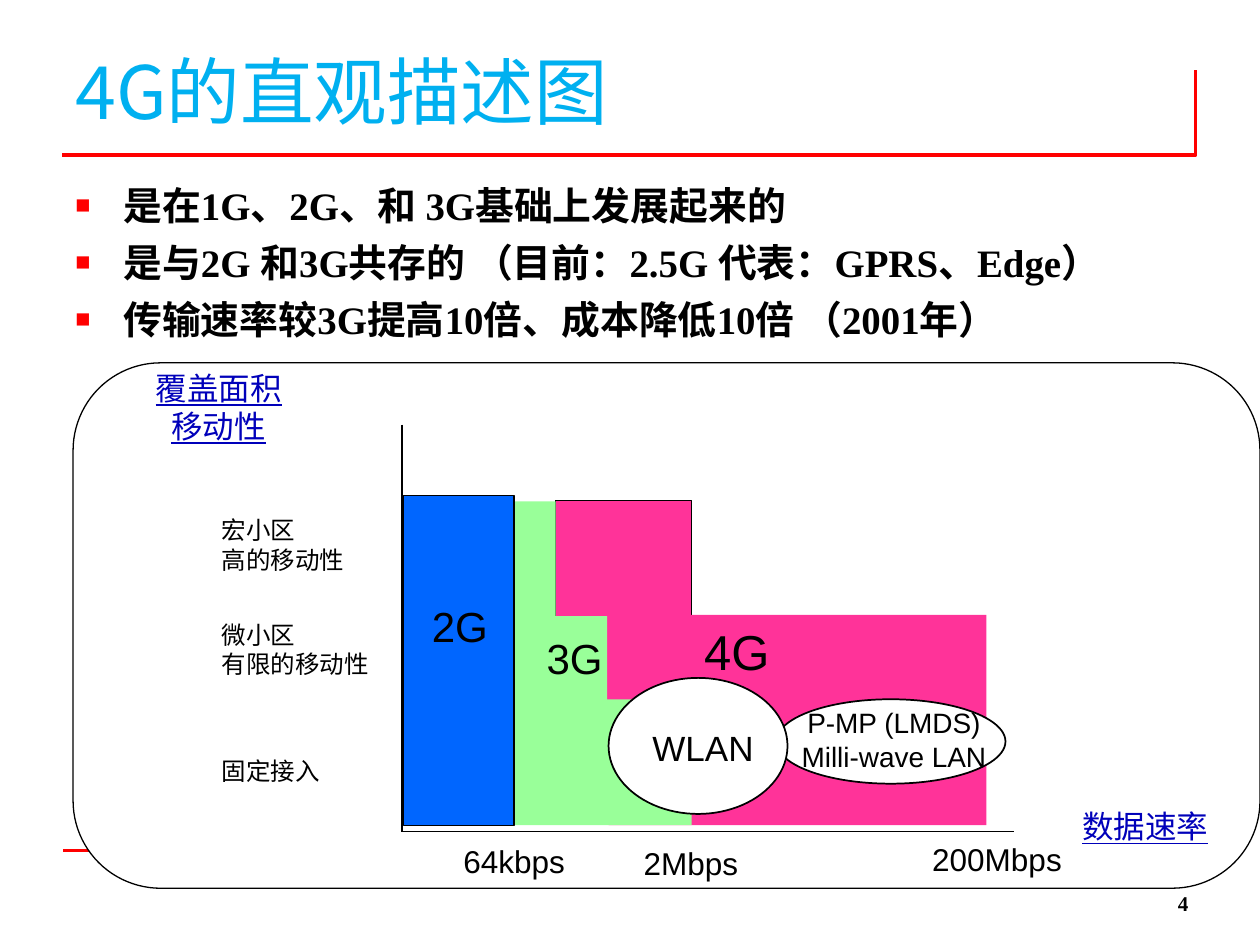
from dataclasses import dataclass

from lxml import etree
from pptx import Presentation
from pptx.dml.color import RGBColor
from pptx.enum.shapes import MSO_CONNECTOR, MSO_SHAPE
from pptx.enum.text import MSO_ANCHOR, MSO_AUTO_SIZE, PP_ALIGN
from pptx.oxml.ns import qn
from pptx.slide import Slide
from pptx.text.text import TextFrame
from pptx.util import Inches, Pt

RECT, OVAL, ROUNDED = MSO_SHAPE.RECTANGLE, MSO_SHAPE.OVAL, MSO_SHAPE.ROUNDED_RECTANGLE
STRAIGHT = MSO_CONNECTOR.STRAIGHT
LEFT, CENTER, RIGHT = PP_ALIGN.LEFT, PP_ALIGN.CENTER, PP_ALIGN.RIGHT
TOP, MIDDLE, BOTTOM = MSO_ANCHOR.TOP, MSO_ANCHOR.MIDDLE, MSO_ANCHOR.BOTTOM
GROW, FIXED = MSO_AUTO_SIZE.SHAPE_TO_FIT_TEXT, MSO_AUTO_SIZE.NONE

COLORS = {
    "rule": "FF0000", "title": "00B0F0", "text": "000000", "axis_name": "0000BA",
    "panel": "FFFFFF", "2G": "0066FF", "3G": "99FF99", "4G": "FF3399",
}
Box = tuple[float, float, float, float]


@dataclass(frozen=True)
class Region:
    box: Box
    color: str
    outline: float = 0
    kind: MSO_SHAPE = RECT


@dataclass(frozen=True)
class Label:
    lines: tuple[str, ...]
    box: Box
    size: float
    color: str = "text"
    align: PP_ALIGN = LEFT
    font: str = "Arial"
    bold: bool = False
    underline: bool = False
    wrap: bool = False
    anchor: MSO_ANCHOR = TOP


@dataclass(frozen=True)
class Rule:
    start: tuple[float, float]
    end: tuple[float, float]
    color: str
    width: float


FOOTER_RULE = Rule((0.5, 6.75), (9.5, 6.75), "rule", 2)
HEADING = Label(("4G的直观描述图",), (0.5, 0.25, 9, 0.93), 42, "title",
                font="Noto Sans CJK SC", wrap=True, anchor=MIDDLE)
POINTS = Label(
    ("是在1G、2G、和 3G基础上发展起来的",
     "是与2G 和3G共存的 （目前：2.5G 代表：GPRS、Edge）",
     "传输速率较3G提高10倍、成本降低10倍 （2001年）"),
    (0.5, 1.39, 9.3, 1.5), 22.2, font="Times New Roman", bold=True, wrap=True)
PAGE_NUMBER = Label(("4",), (7.2, 6.82, 2.33, 0.5), 12, align=RIGHT,
                    font="Times New Roman", bold=True, wrap=True, anchor=BOTTOM)

BACK_REGIONS = (
    Region((0.58, 2.88, 9.42, 4.17), "panel", 0.75, ROUNDED),
    Region((4.41, 3.97, 1.08, 2), "4G", 0.75),
    Region((3.19, 4.89, 1.63, 1.33), "3G"),
)
AXES = (
    Rule((3.19, 3.37), (3.19, 6.6), "text", 1),
    Rule((3.2, 6.6), (8.05, 6.6), "text", 1),
)
FRONT_REGIONS = (
    Region((3.2, 3.98, 1.21, 2.24), "3G"),
    Region((4.83, 4.88, 3, 1.67), "4G"),
    Region((6.16, 5.55, 1.82, 0.67), "panel", 1, OVAL),
    Region((3.2, 5.55, 2.29, 1), "3G"),
    Region((3.2, 3.93, 0.88, 2.62), "2G", 0.75),
    Region((4.83, 5.38, 1.42, 1.08), "panel", 1, OVAL),
)
LABELS = (
    Label(("数据速率",), (8.49, 6.36, 1.22, 0.4), 18, "axis_name", underline=True),
    Label(("覆盖面积 ", "移动性"), (1.11, 2.88, 1.25, 0.7), 18, "axis_name", CENTER,
          underline=True),
    Label(("宏小区", "高的移动性"), (1.66, 4.04, 1.2, 0.57), 14),
    Label(("微小区", "有限的移动性"), (1.66, 4.87, 1.39, 0.57), 14),
    Label(("固定接入",), (1.66, 5.95, 1, 0.34), 14),
    Label(("64kbps",), (3.58, 6.63, 1.03, 0.4), 18),
    Label(("2Mbps",), (5.01, 6.65, 0.97, 0.4), 18),
    Label(("200Mbps",), (7.3, 6.62, 1.25, 0.4), 18),
    Label(("P-MP (LMDS)", "Milli-wave LAN"), (6.16, 5.55, 1.87, 0.63), 16,
          align=CENTER, wrap=True),
    Label(("2G",), (3.33, 4.72, 0.67, 0.5), 24),
    Label(("WLAN",), (5.03, 5.72, 1.1, 0.43), 20, align=CENTER),
    Label(("4G",), (5.49, 4.88, 0.74, 0.56), 28),
    Label(("3G",), (4.24, 4.97, 0.67, 0.5), 24),
)


def rgb(name: str) -> RGBColor:
    """Look up a named colour."""
    return RGBColor.from_string(COLORS[name])


def draw_rule(slide: Slide, rule: Rule) -> None:
    """Draw a straight line without shadow."""
    ends = [Inches(value) for value in (*rule.start, *rule.end)]
    connector = slide.shapes.add_connector(STRAIGHT, *ends)
    connector.line.color.rgb = rgb(rule.color)
    connector.line.width = Pt(rule.width)
    etree.SubElement(connector._element.spPr, qn("a:effectLst"))


def draw_title_corner(slide: Slide) -> None:
    """Draw the red angle beside and below the title."""
    builder = slide.shapes.build_freeform(Inches(9.49), Inches(0.56))
    builder.add_line_segments(
        [(Inches(9.49), Inches(1.23)), (Inches(0.49), Inches(1.23))], close=False)
    corner = builder.convert_to_shape()
    corner.shadow.inherit = False
    corner.fill.background()
    corner.line.color.rgb = rgb("rule")
    corner.line.width = Pt(2)


def draw_region(slide: Slide, region: Region) -> None:
    """Draw a filled shape, outlined in black if it has an outline width."""
    shape = slide.shapes.add_shape(region.kind, *map(Inches, region.box))
    shape.shadow.inherit = False
    shape.fill.solid()
    shape.fill.fore_color.rgb = rgb(region.color)
    if region.outline:
        shape.line.color.rgb = rgb("text")
        shape.line.width = Pt(region.outline)
    else:
        shape.line.fill.background()


def add_bullets(frame: TextFrame) -> None:
    """Give every paragraph a red square bullet and a hanging indent."""
    for index, paragraph in enumerate(frame.paragraphs):
        properties = paragraph._p.get_or_add_pPr()
        properties.set("marL", str(Inches(0.38)))
        properties.set("indent", str(-Inches(0.38)))
        bullet_color = etree.SubElement(properties, qn("a:buClr"))
        etree.SubElement(bullet_color, qn("a:srgbClr"), val=COLORS["rule"])
        etree.SubElement(properties, qn("a:buSzPct"), val="65000")
        etree.SubElement(properties, qn("a:buFont"), typeface="Arial")
        etree.SubElement(properties, qn("a:buChar"), char="■")
        paragraph.space_before = Pt(6 if index else 0)


def draw_label(slide: Slide, label: Label, bulleted: bool = False) -> None:
    """Write a text box with one paragraph per line."""
    frame = slide.shapes.add_textbox(*map(Inches, label.box)).text_frame
    frame.word_wrap = label.wrap
    frame.auto_size = FIXED if label.wrap else GROW
    frame.vertical_anchor = label.anchor
    frame.text = "\n".join(label.lines)
    if bulleted:
        add_bullets(frame)
    for paragraph in frame.paragraphs:
        paragraph.alignment = label.align
        font = paragraph.font
        font.name = label.font
        font.size = Pt(label.size)
        font.bold = label.bold
        font.underline = label.underline
        font.color.rgb = rgb(label.color)


def main() -> None:
    """Build the slide on 4G coverage and data rate."""
    deck = Presentation()
    deck.slide_width, deck.slide_height = Inches(10), Inches(7.5)
    slide = deck.slides.add_slide(deck.slide_layouts[6])
    draw_title_corner(slide)
    draw_rule(slide, FOOTER_RULE)
    draw_label(slide, HEADING)
    draw_label(slide, POINTS, bulleted=True)
    draw_label(slide, PAGE_NUMBER)
    for region in BACK_REGIONS:
        draw_region(slide, region)
    for axis in AXES:
        draw_rule(slide, axis)
    for region in FRONT_REGIONS:
        draw_region(slide, region)
    for label in LABELS:
        draw_label(slide, label)
    deck.save("out.pptx")


if __name__ == "__main__":
    main()
